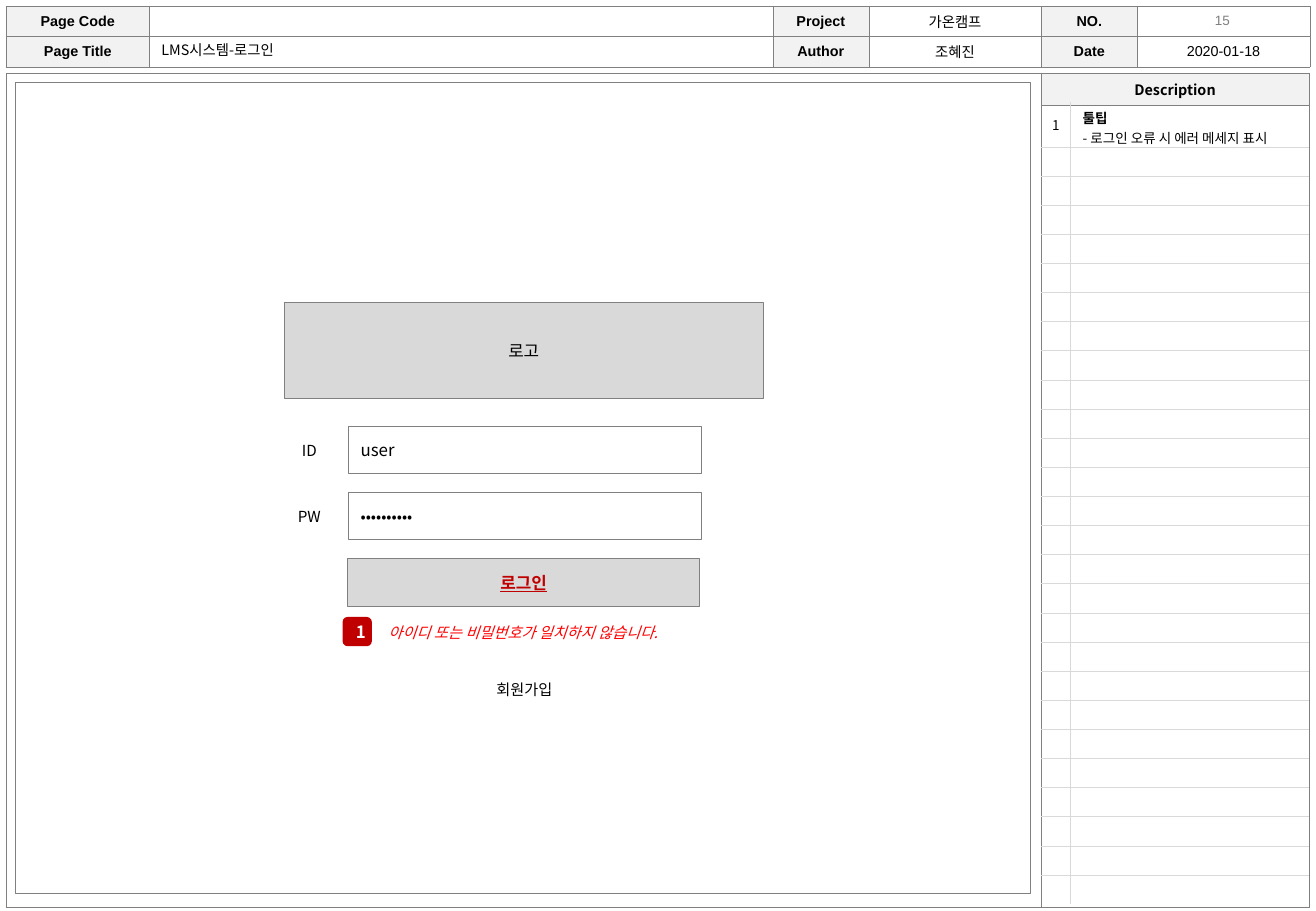
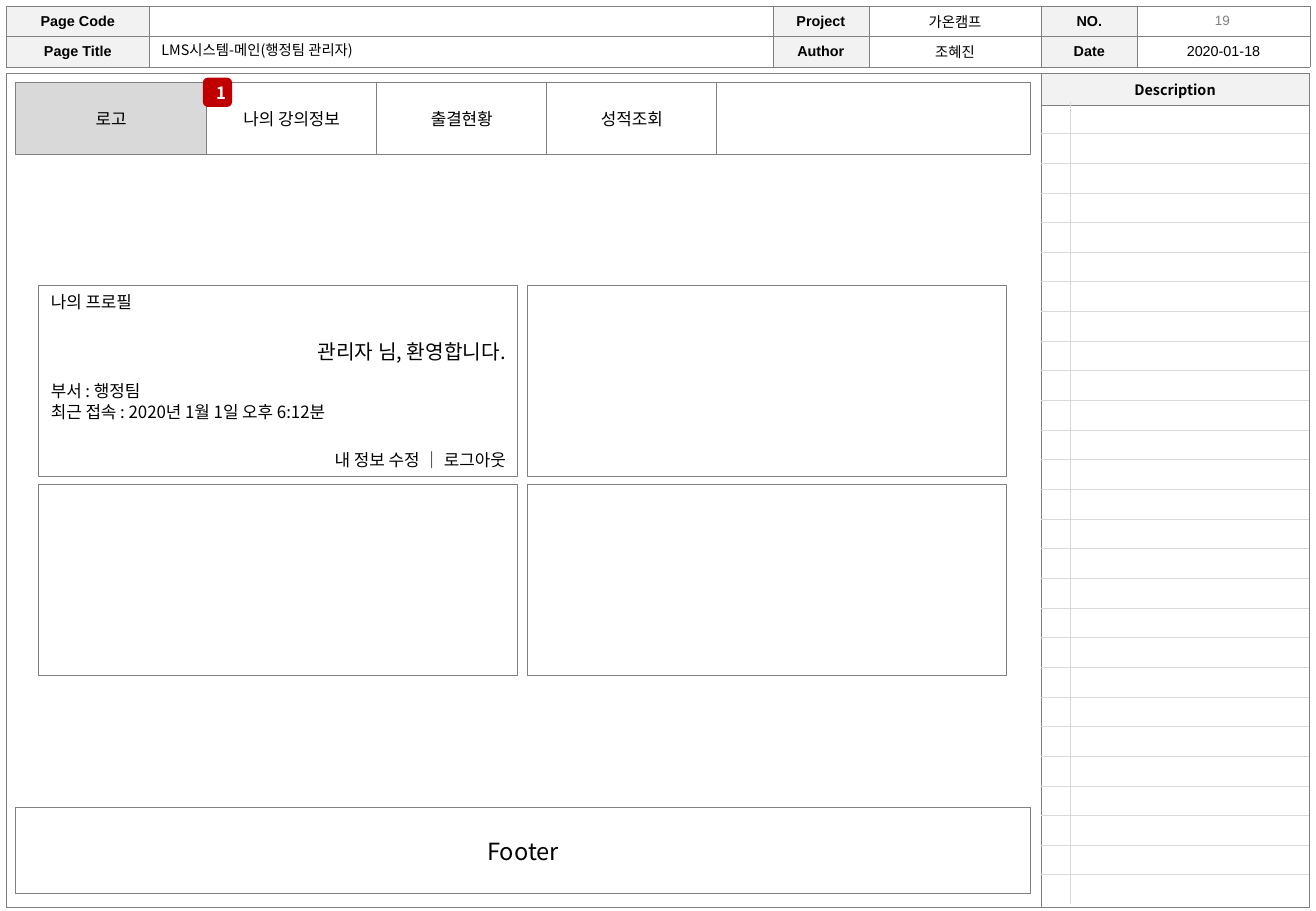
from pptx import Presentation
from pptx.dml.color import RGBColor
from pptx.enum.shapes import MSO_SHAPE as SHAPE
from pptx.enum.text import MSO_ANCHOR as ANCHOR, PP_ALIGN as ALIGN
from pptx.oxml.ns import qn
from pptx.util import Inches, Pt
from lxml.etree import SubElement

BLACK = RGBColor(0, 0, 0)
WHITE = RGBColor(255, 255, 255)
GRAY = RGBColor(0x80, 0x80, 0x80)
MUTED = RGBColor(0x7F, 0x7F, 0x7F)
SILVER = RGBColor(0xD9, 0xD9, 0xD9)
PALE = RGBColor(0xF2, 0xF2, 0xF2)
CRIMSON = RGBColor(0xC0, 0, 0)
RED = RGBColor(255, 0, 0)
NOTO, ARIAL = "Noto Sans CJK KR", "Arial"
NO_STYLE = "{2D5ABB26-0587-4C30-8999-92F81FD0307C}"

INFO = [
    ["Page Code", "", "Project", "가온캠프", "NO.", ""],
    ["Page Title", "", "Author", "조혜진", "Date", "2020-01-18"],
]
LOGIN = dict(number="15", title="LMS시스템-로그인", first_row=0.37,
             notes=[("1", ["툴팁", "- 로그인 오류 시 에러 메세지 표시"])])
MAIN = dict(number="19", title="LMS시스템-메인(행정팀 관리자)", first_row=0.26,
            notes=[])
FIELDS = [("ID", "user", 10), ("PW", "•" * 10, 9)]
TABS = ["나의 강의정보", "출결현황", "성적조회"]
ACCOUNT_LINKS = "내 정보 수정 ｜ 로그아웃"
WELCOME = "관리자 님, 환영합니다."
DETAILS = ["부서 : 행정팀", "최근 접속 : 2020년 1월 1일 오후 6:12분"]

EDGE, FULL_W = 0.05, 10.72
INFO_COLS = [1.18, 5.13, 0.79, 1.42, 0.79, 1.42]
INFO_ROW = 0.25
FRAME_COLS, FRAME_ROWS = [8.52, 2.2], [0.27, 6.6]
FRAME_TOP = 0.6
NOTE_COLS, NOTE_COUNT, NOTE_H = [0.24, 1.96], 27, 6.61
NOTE_TOP = 0.84
BODY_X, BODY_Y, BODY_W, BODY_H = 0.13, 0.68, 8.35, 6.68

prs = Presentation()
prs.slide_width, prs.slide_height = Inches(10.83), Inches(7.5)


def write(tf, text, size, color=BLACK, font=NOTO, bold=False, italic=False,
          underline=False, align=ALIGN.CENTER, before=0, line=None, more=False):
    p = tf.add_paragraph() if more else tf.paragraphs[0]
    p.alignment = align
    p.space_before = Pt(before)
    if line:
        p.line_spacing = Pt(line)
    r = p.add_run()
    r.text = text
    f = r.font
    f.size, f.name, f.bold = Pt(size), font, bold
    f.italic, f.underline = italic, underline
    f.color.rgb = color
    SubElement(r._r.get_or_add_rPr(), qn("a:ea")).set("typeface", NOTO)


def box(s, x, y, w, h, text="", size=10, fill=WHITE, line=0.5,
        shape=SHAPE.RECTANGLE, anchor=ANCHOR.MIDDLE, **style):
    sp = s.shapes.add_shape(shape, Inches(x), Inches(y), Inches(w), Inches(h))
    sp.shadow.inherit = False
    sp.fill.solid()
    sp.fill.fore_color.rgb = fill
    if line:
        sp.line.color.rgb = GRAY
        sp.line.width = Pt(line)
    else:
        sp.line.fill.background()
    tf = sp.text_frame
    tf.vertical_anchor = anchor
    if text:
        write(tf, text, size, **style)
    return tf


def label(s, x, y, w, h, text, size, **style):
    tf = s.shapes.add_textbox(Inches(x), Inches(y), Inches(w), Inches(h)).text_frame
    tf.word_wrap = True
    write(tf, text, size, **style)
    return tf


def badge(s, x, y):
    box(s, x, y, 0.24, 0.24, "1", fill=CRIMSON, line=0, color=WHITE, bold=True,
        shape=SHAPE.ROUNDED_RECTANGLE)


def grid(s, x, y, cols, rows):
    frame = s.shapes.add_table(len(rows), len(cols), Inches(x), Inches(y),
                               Inches(sum(cols)), Inches(sum(rows)))
    table = frame.table
    table.first_row = table.horz_banding = False
    table._tbl.tblPr.find(qn("a:tableStyleId")).text = NO_STYLE
    for col, w in zip(table.columns, cols):
        col.width = Inches(w)
    for row, h in zip(table.rows, rows):
        row.height = Inches(h)
    return table


def style_cell(cell, sides, color, width, text="", fill=None, **style):
    tcPr = cell._tc.get_or_add_tcPr()
    for side in sides:
        ln = SubElement(tcPr, qn(f"a:ln{side}"), w=str(Pt(width)))
        SubElement(SubElement(ln, qn("a:solidFill")), qn("a:srgbClr")).set("val", str(color))
    if fill:
        cell.fill.solid()
        cell.fill.fore_color.rgb = fill
    else:
        cell.fill.background()
    cell.vertical_anchor = ANCHOR.MIDDLE
    cell.margin_left = cell.margin_right = Inches(0.04)
    cell.margin_top = cell.margin_bottom = Inches(0.04)
    if text:
        write(cell.text_frame, text, **style)
    else:
        SubElement(cell.text_frame.paragraphs[0]._p, qn("a:endParaRPr")).set("sz", "600")


def add_frame(s):
    table = grid(s, EDGE, FRAME_TOP, FRAME_COLS, FRAME_ROWS)
    style_cell(table.cell(0, 0), "LRT", GRAY, 0.25)
    style_cell(table.cell(1, 0), "LRB", GRAY, 0.25)
    style_cell(table.cell(0, 1), "LRTB", GRAY, 0.25, "Description", PALE, size=8.5, bold=True)
    style_cell(table.cell(1, 1), "LRTB", GRAY, 0.25)


def add_info(s, page):
    table = grid(s, EDGE, EDGE, INFO_COLS, [INFO_ROW] * len(INFO))
    for i, row in enumerate(INFO):
        for j, text in enumerate(row):
            heading = j % 2 == 0
            style_cell(table.cell(i, j), "LRTB", GRAY, 0.25, text,
                       PALE if heading else None, size=8.5, font=ARIAL, bold=heading)
    w = INFO_COLS[-1]
    label(s, EDGE + FULL_W - w, EDGE, w, 0.24, page["number"], 8, color=MUTED, font=ARIAL)


def add_notes(s, page):
    first = page["first_row"]
    rows = [first] + [(NOTE_H - first) / (NOTE_COUNT - 1)] * (NOTE_COUNT - 1)
    table = grid(s, EDGE + FRAME_COLS[0], NOTE_TOP, NOTE_COLS, rows)
    for i in range(NOTE_COUNT):
        sides = ("T" if i else "") + ("B" if i < NOTE_COUNT - 1 else "")
        mark, lines = page["notes"][i] if i < len(page["notes"]) else ("", [""])
        style_cell(table.cell(i, 0), "R" + sides, SILVER, 0.5, mark, size=8)
        cell = table.cell(i, 1)
        style_cell(cell, "L" + sides, SILVER, 0.5, lines[0], size=8, bold=True, align=ALIGN.LEFT)
        cell.margin_left, cell.margin_top, cell.margin_bottom = Inches(0.1), Inches(0.05), 0
        for text in lines[1:]:
            write(cell.text_frame, text, 8, align=ALIGN.LEFT, more=True)


def add_page(page):
    s = prs.slides.add_slide(prs.slide_layouts[6])
    add_frame(s)
    add_info(s, page)
    add_notes(s, page)
    label(s, EDGE + INFO_COLS[0], 0.29, INFO_COLS[1], 0.24, page["title"], 8.5, align=ALIGN.LEFT)
    return s


def build_login():
    s = add_page(LOGIN)
    x, y, w, h, pitch = 2.87, 3.51, 2.9, 0.39, 0.545
    box(s, BODY_X, BODY_Y, BODY_W, BODY_H)
    box(s, 2.34, 2.49, 3.94, 0.79, "로고", fill=SILVER)
    for i, (name, value, size) in enumerate(FIELDS):
        top = y + i * pitch
        box(s, x, top, w, h, value, size, align=ALIGN.LEFT)
        box(s, 2.35, top, h, h, name, 9, line=0)
    box(s, x - 0.01, y + 2 * pitch, w, h, "로그인", fill=SILVER, color=CRIMSON,
        bold=True, underline=True)
    box(s, 3.18, 5.48, 2.27, h, "회원가입", 9, line=0)
    box(s, 2.73, 5.09, 3.15, 0.24, "아이디 또는 비밀번호가 일치하지 않습니다.", 9, line=0,
        color=RED, italic=True)
    badge(s, 2.82, 5.08)


def build_main():
    s = add_page(MAIN)
    logo_w, tab_w, bar_h, footer_h = 1.57, 1.4, 0.59, 0.71
    box(s, BODY_X, BODY_Y + BODY_H - footer_h, BODY_W, footer_h, "Footer", 14)
    box(s, BODY_X, BODY_Y, BODY_W, bar_h)
    box(s, BODY_X, BODY_Y, logo_w, bar_h, "로고", fill=SILVER, line=0.75)
    for i, name in enumerate(TABS):
        box(s, BODY_X + logo_w + i * tab_w, BODY_Y, tab_w, bar_h, name)
    badge(s, 1.67, 0.64)

    x, y, w, h = 0.32, 2.35, 3.94, 1.57
    panels = [box(s, x + col * (w + 0.08), y + row * (h + 0.07), w, h, anchor=ANCHOR.TOP)
              for row in range(2) for col in range(2)]
    write(panels[0], "나의 프로필", 10, align=ALIGN.LEFT)
    write(panels[0], ACCOUNT_LINKS, 10, align=ALIGN.RIGHT, before=82, more=True)
    tf = label(s, x, 2.74, w, 0.81, WELCOME, 12, align=ALIGN.RIGHT)
    for text, before in zip(DETAILS, (10, 0)):
        write(tf, text, 10, align=ALIGN.LEFT, before=before, line=12.4, more=True)


build_login()
build_main()
prs.save("out.pptx")
